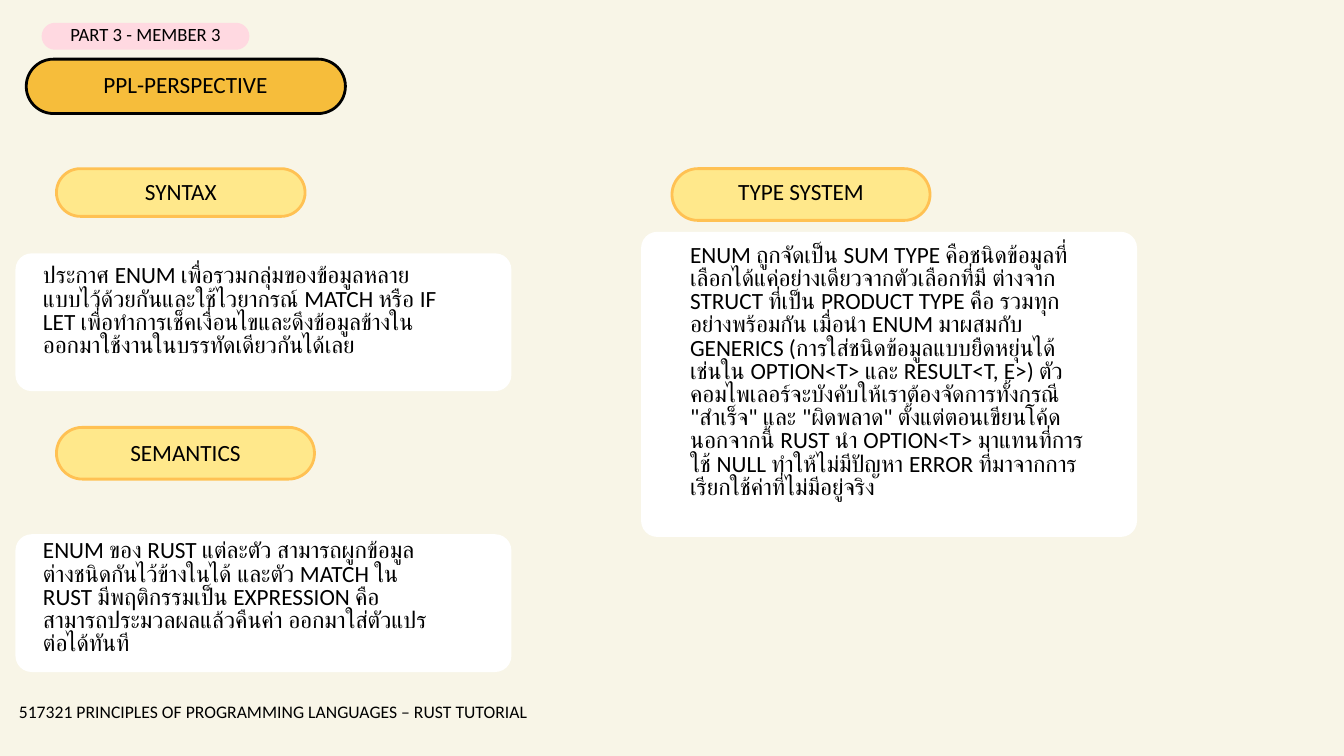
from pptx import Presentation
from pptx.dml.color import RGBColor
from pptx.enum.shapes import MSO_SHAPE
from pptx.enum.text import PP_ALIGN
from pptx.util import Pt

PX = 9144  # EMU; 100 px to the inch
FONT = "Calibri"
HEX = {
    "page": "F8F5E7", "ink": "000000", "gold": "F6BD3B", "pink": "FFD9E1",
    "lemon": "FFE88B", "amber": "FFC153", "white": "FFFFFF",
}
BODY, TAG, FOOT = 24.9, 20, 18.9
TEXT_W = 590
CARD_W, CARD_R = 738, 24

# pill box, fill, line, label, label box, size
PILLS = [
    ((39, 88, 475, 81), "gold", "ink", "PPL-PERSPECTIVE",
     (-19, 111, TEXT_W, 36), BODY),
    ((64, 36, 305, 36), "pink", "pink", "PART 3 - MEMBER 3",
     (-19, 40, 471, 30), TAG),
    ((84, 251, 370, 71), "lemon", "amber", "SYNTAX",
     (-26, 271, TEXT_W, 36), BODY),
    ((84, 636, 384, 77), "lemon", "amber", "SEMANTICS",
     (-19, 659, TEXT_W, 36), BODY),
    ((1000, 251, 384, 77), "lemon", "amber", "TYPE SYSTEM",
     (897, 271, TEXT_W, 36), BODY),
]

# card left, top, height; text left, top, height; text
CARDS = [
    ((23, 377, 205), (64, 395, 174),
     "ประกาศ ENUM เพื่อรวมกลุ่มของข้อมูลหลายแบบไว้ด้วยกันและใช้ไวยากรณ์ MATCH หรือ IF LET "
     "เพื่อทำการเช็คเงื่อนไขและดึงข้อมูลข้างในออกมาใช้งานในบรรทัดเดียวกันได้เลย"),
    ((23, 795, 205), (64, 804, 174),
     "ENUM ของ RUST แต่ละตัว สามารถผูกข้อมูลต่างชนิดกันไว้ข้างในได้ และตัว MATCH ใน RUST "
     "มีพฤติกรรมเป็น EXPRESSION คือสามารถประมวลผลแล้วคืนค่า ออกมาใส่ตัวแปรต่อได้ทันที"),
    ((954, 345, 454), (1027, 364, 414),
     "ENUM ถูกจัดเป็น SUM TYPE คือชนิดข้อมูลที่เลือกได้แค่อย่างเดียวจากตัวเลือกที่มี ต่างจาก STRUCT "
     "ที่เป็น PRODUCT TYPE คือ รวมทุกอย่างพร้อมกัน เมื่อนำ ENUM มาผสมกับ GENERICS "
     "(การใส่ชนิดข้อมูลแบบยืดหยุ่นได้ เช่นใน OPTION<T> และ RESULT<T, E>) "
     "ตัวคอมไพเลอร์จะบังคับให้เราต้องจัดการทั้งกรณี \"สำเร็จ\" และ \"ผิดพลาด\" ตั้งแต่ตอนเขียนโค้ด "
     "นอกจากนี้ RUST นำ OPTION<T> มาแทนที่การใช้ NULL ทำให้ไม่มีปัญหา ERROR "
     "ที่มาจากการเรียกใช้ค่าที่ไม่มีอยู่จริง"),
]
FOOTER = "517321 PRINCIPLES OF PROGRAMMING LANGUAGES – RUST TUTORIAL"


def color(name):
    return RGBColor.from_string(HEX[name])


def emu(box):
    return [n * PX for n in box]


def add_round(slide, box, radius, fill, line=None):
    shape = slide.shapes.add_shape(MSO_SHAPE.ROUNDED_RECTANGLE, *emu(box))
    shape.adjustments[0] = radius / min(box[2:])
    shape.shadow.inherit = False
    shape.fill.solid()
    shape.fill.fore_color.rgb = color(fill)
    if line:
        shape.line.color.rgb = color(line)
        shape.line.width = Pt(3)
    else:
        shape.line.fill.background()


def add_text(slide, box, text, size, align=PP_ALIGN.LEFT):
    frame = slide.shapes.add_textbox(*emu(box)).text_frame
    frame.word_wrap = True
    frame.margin_left = frame.margin_right = 0
    frame.margin_top = frame.margin_bottom = 0
    para = frame.paragraphs[0]
    para.text = text
    para.alignment = align
    para.line_spacing = Pt(size)
    para.font.name = FONT
    para.font.size = Pt(size)
    para.font.color.rgb = color("ink")


def main():
    deck = Presentation()
    deck.slide_width, deck.slide_height = emu((2000, 1125))
    slide = deck.slides.add_slide(deck.slide_layouts[6])
    slide.background.fill.solid()
    slide.background.fill.fore_color.rgb = color("page")

    for box, fill, line, label, place, size in PILLS:
        add_round(slide, box, box[3] / 2, fill, line)
        add_text(slide, place, label, size, PP_ALIGN.CENTER)

    for (left, top, high), (x, y, h), text in CARDS:
        add_round(slide, (left, top, CARD_W, high), CARD_R, "white")
        add_text(slide, (x, y, TEXT_W, h), text, BODY)

    add_text(slide, (28, 1048, 829, 28), FOOTER, FOOT)
    deck.save("out.pptx")


if __name__ == "__main__":
    main()
